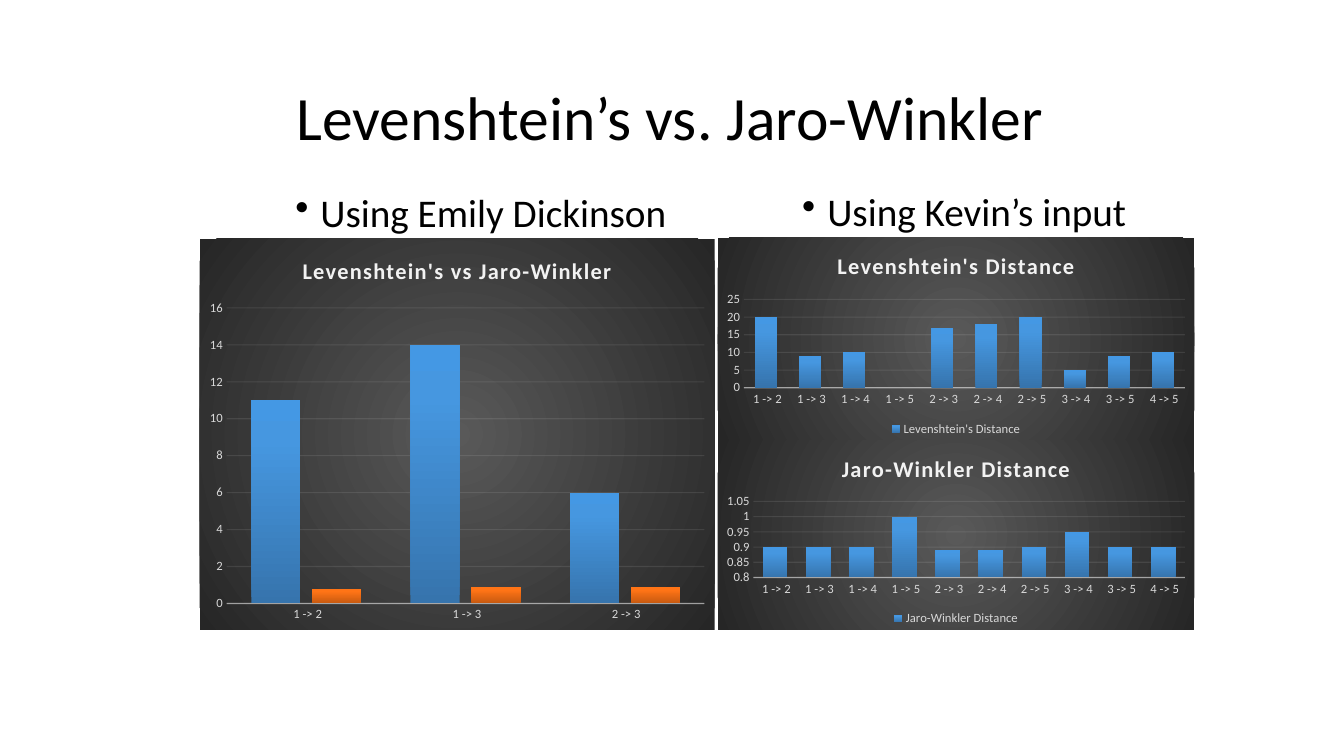
from dataclasses import dataclass
from itertools import combinations

from lxml.etree import SubElement
from pptx import Presentation
from pptx.chart.data import CategoryChartData
from pptx.dml.color import RGBColor
from pptx.enum.chart import XL_CHART_TYPE, XL_LEGEND_POSITION, XL_TICK_MARK
from pptx.enum.text import MSO_ANCHOR, PP_ALIGN
from pptx.oxml import parse_xml
from pptx.oxml.ns import nsdecls, qn
from pptx.util import Pt


@dataclass(frozen=True)
class Theme:
    font: str = "Calibri"
    text: str = "000000"
    chart_title: str = "F2F2F2"
    chart_label: str = "D9D9D9"
    chart_line: str = "F2F2F2"
    panel: tuple = ((0, "595959"), (100, "262626"))
    bars: tuple = (
        ((0, "3674AD"), (80, "4697E0"), (100, "4498E4")),
        ((0, "C65910"), (80, "FF7416"), (100, "FF7517")),
    )
    title_size: int = 44
    body_size: int = 28
    chart_title_size: int = 16
    chart_size: int = 10
    label_size: int = 9


RADIAL = ('<a:path path="circle">'
          '<a:fillToRect l="50000" t="50000" r="50000" b="50000"/></a:path>')
UPWARD = '<a:lin ang="16200000" scaled="0"/>'


def gradient(stops, direction):
    stop_list = "".join(
        f'<a:gs pos="{position * 1000}"><a:srgbClr val="{color}"/></a:gs>'
        for position, color in stops)
    return parse_xml(f'<a:gradFill {nsdecls("a")}><a:gsLst>{stop_list}</a:gsLst>'
                     f'{direction}</a:gradFill>')


class SlideBuilder:
    def __init__(self, slide, theme):
        self.slide = slide
        self.theme = theme

    def style_font(self, font, size, color, bold=False):
        font.name = self.theme.font
        font.size = Pt(size)
        font.bold = bold
        font.color.rgb = RGBColor.from_string(color)

    def style_line(self, line, width, opacity):
        line.width = Pt(width)
        line.color.rgb = RGBColor.from_string(self.theme.chart_line)
        color = line.fill._xPr.find(".//" + qn("a:srgbClr"))
        SubElement(color, qn("a:alpha"), val=str(opacity * 1000))

    def title(self, text, left, top, width, height):
        shape = self.slide.shapes.title
        shape.left, shape.top = Pt(left), Pt(top)
        shape.width, shape.height = Pt(width), Pt(height)
        shape.text_frame.text = text
        shape.text_frame.vertical_anchor = MSO_ANCHOR.MIDDLE
        paragraph = shape.text_frame.paragraphs[0]
        paragraph.alignment = PP_ALIGN.LEFT
        paragraph.line_spacing = 0.9
        self.style_font(paragraph.font, self.theme.title_size, self.theme.text)

    def bullet(self, text, left, top, width, height):
        shape = self.slide.shapes.add_textbox(Pt(left), Pt(top), Pt(width), Pt(height))
        shape.text_frame.word_wrap = True
        paragraph = shape.text_frame.paragraphs[0]
        paragraph.text = text
        paragraph.line_spacing = 0.9
        paragraph.space_before = Pt(10)
        self.style_font(paragraph.font, self.theme.body_size, self.theme.text)
        # Hanging bullet
        properties = paragraph._p.get_or_add_pPr()
        properties.set("marL", str(Pt(18)))
        properties.set("indent", str(-Pt(18)))
        marker = parse_xml(f'<a:buChar {nsdecls("a")} char="•"/>')
        properties.find(qn("a:defRPr")).addprevious(marker)

    def column_chart(self, title, categories, series, scale, box,
                     gap=100, overlap=-24, legend=False):
        theme = self.theme
        data = CategoryChartData()
        data.categories = categories
        for name, values in series.items():
            data.add_series(name, values)
        chart = self.slide.shapes.add_chart(
            XL_CHART_TYPE.COLUMN_CLUSTERED, *map(Pt, box), data).chart
        self.style_font(chart.font, theme.chart_size, theme.text)

        # Panel background
        panel = parse_xml(f'<c:spPr {nsdecls("c", "a")}/>')
        panel.append(gradient(theme.panel, RADIAL))
        SubElement(SubElement(panel, qn("a:ln")), qn("a:noFill"))
        chart.element.find(qn("c:txPr")).addprevious(panel)

        # Title and legend
        chart.has_title = True
        chart.chart_title.text_frame.text = title
        font = chart.chart_title.text_frame.paragraphs[0].font
        self.style_font(font, theme.chart_title_size, theme.chart_title, bold=True)
        font._element.set("spc", "100")
        chart.has_legend = legend
        if legend:
            chart.legend.position = XL_LEGEND_POSITION.BOTTOM
            chart.legend.include_in_layout = False
            self.style_font(chart.legend.font, theme.label_size, theme.chart_label)

        # Axes
        for axis in (chart.category_axis, chart.value_axis):
            axis.major_tick_mark = axis.minor_tick_mark = XL_TICK_MARK.NONE
            self.style_font(axis.tick_labels.font, theme.label_size, theme.chart_label)
        self.style_line(chart.category_axis.format.line, 1, 54)
        value_axis = chart.value_axis
        value_axis.format.line.fill.background()
        self.style_line(value_axis.major_gridlines.format.line, 0.75, 10)
        value_axis.minimum_scale, value_axis.maximum_scale, value_axis.major_unit = scale

        # Columns
        plot = chart.plots[0]
        plot.vary_by_categories = False
        plot.gap_width, plot.overlap = gap, overlap
        for column, stops in zip(plot.series, theme.bars):
            column._element.get_or_add_spPr().append(gradient(stops, UPWARD))


def pair_labels(count):
    return [f" {first} -> {second}"
            for first, second in combinations(range(1, count + 1), 2)]


def main():
    presentation = Presentation()
    presentation.slide_width, presentation.slide_height = Pt(960), Pt(540)
    slide = presentation.slides.add_slide(presentation.slide_layouts[5])
    builder = SlideBuilder(slide, Theme())

    # Headings
    builder.title("Levenshtein’s vs. Jaro-Winkler", 204.5, 53.3, 603.4, 65.5)
    builder.bullet("Using Emily Dickinson", 203.8, 134.6, 339.8, 297.4)
    builder.bullet("Using Kevin’s input", 565.9, 133.9, 339.8, 297.4)

    # Poem comparison
    builder.column_chart(
        "Levenshtein's vs Jaro-Winkler", pair_labels(3),
        {"Series 1": (11, 14, 6), "Series 2": (0.8, 0.9, 0.9)},
        (0, 16, 2), (142.6, 170.6, 367.9, 279.4))

    # Input comparison, one chart per measure
    builder.column_chart(
        "Levenshtein's Distance", pair_labels(5),
        {"Levenshtein's Distance": (20, 9, 10, 0, 17, 18, 20, 5, 9, 10)},
        (0, 25, 5), (512.6, 169.9, 340.6, 144.7), legend=True)
    builder.column_chart(
        "Jaro-Winkler Distance", pair_labels(5),
        {"Jaro-Winkler Distance": (0.9, 0.9, 0.9, 1, 0.89, 0.89, 0.9, 0.95, 0.9, 0.9)},
        (0.8, 1.05, 0.05), (512.6, 314.6, 340.6, 135.4),
        gap=75, overlap=-25, legend=True)

    presentation.save("out.pptx")


if __name__ == "__main__":
    main()
